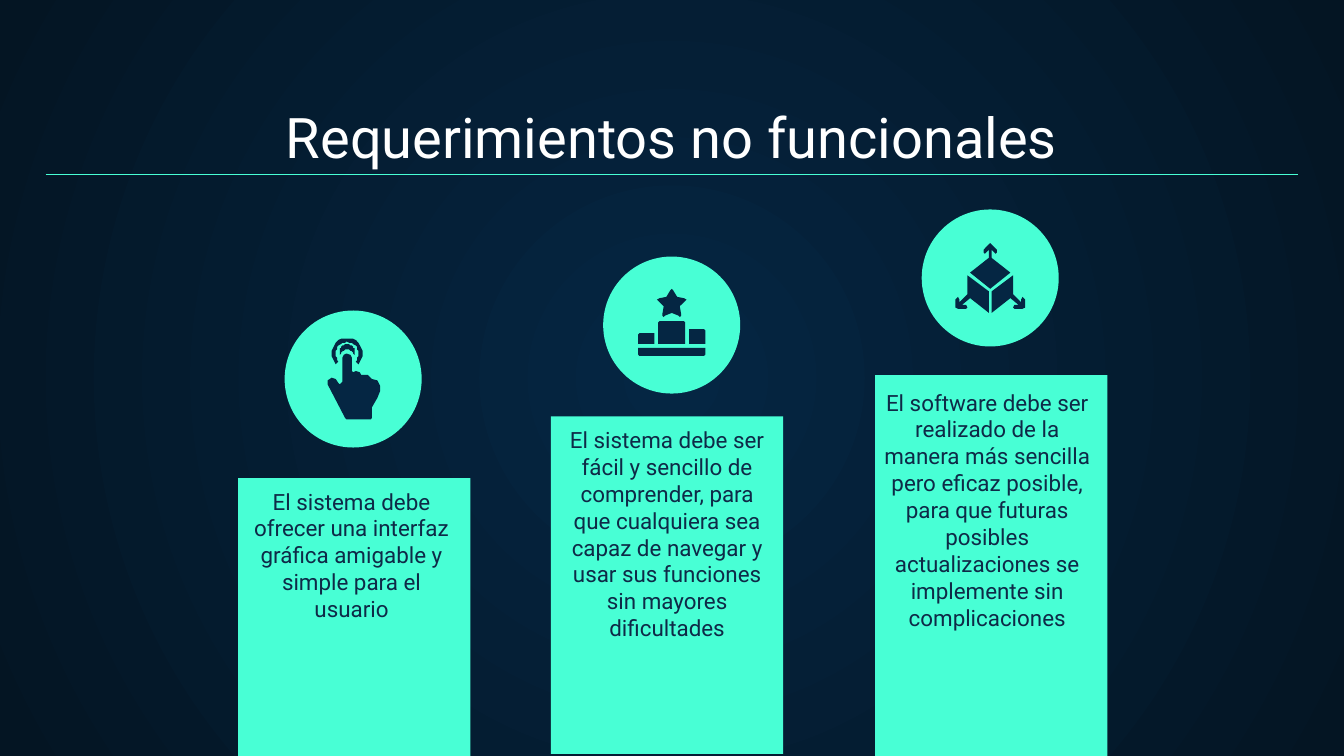
"""Build the slide of non-functional requirements."""
from math import cos, radians, sin

from lxml.etree import SubElement
from pptx import Presentation
from pptx.dml.color import RGBColor
from pptx.enum.shapes import MSO_CONNECTOR, MSO_SHAPE
from pptx.enum.text import MSO_ANCHOR, MSO_AUTO_SIZE, PP_ALIGN
from pptx.oxml.ns import qn
from pptx.util import Cm, Pt

COLORS = {"centre": "052643", "edge": "041523", "mint": "48FFD5",
          "white": "FFFFFF", "text": "0E2A47"}
FRAME = {"word_wrap": True, "auto_size": MSO_AUTO_SIZE.NONE,
         "vertical_anchor": MSO_ANCHOR.BOTTOM,
         "margin_left": Cm(0.25), "margin_right": Cm(0.25),
         "margin_top": Cm(0.25), "margin_bottom": Cm(0.25)}
CIRCLE = 2.59
UNIT = Cm(2.54) / 100

COLUMNS = [
    {"bar": (4.5, 9.04, 4.39, 5.33), "box": (4.45, 9.47, 4.39, 2.54), "circle_top": 5.87,
     "text": "El sistema debe ofrecer una interfaz gráfica amigable y simple para el usuario"},
    {"bar": (10.41, 7.87, 4.39, 6.38), "box": (10.36, 9.75, 4.5, 2.62), "circle_top": 4.85,
     "text": "El sistema debe ser fácil y sencillo de comprender, para que cualquiera sea "
             "capaz de navegar y usar sus funciones sin mayores dificultades"},
    {"bar": (16.54, 7.09, 4.39, 7.26), "box": (16.41, 8.18, 4.5, 3.99), "circle_top": 3.96,
     "text": "El software debe ser realizado de la manera más sencilla pero eficaz posible, "
             "para que futuras posibles actualizaciones se implemente sin complicaciones"},
]


def color(name):
    """Return a palette colour."""
    return RGBColor.from_string(COLORS[name])


def set_attrs(obj, values):
    """Set each attribute of the object from a dict."""
    for name, value in values.items():
        setattr(obj, name, value)


def mirror(points):
    """Return the points reflected about the vertical axis."""
    return [(-x, y) for x, y in points]


def symmetric(half):
    """Close a right-hand half outline with its mirror image."""
    return half + mirror(half)[::-1]


def arc(x, y, radius, start, end):
    """Return points along a circular arc given in degrees."""
    angles = [radians(start + (end - start) * i / 24) for i in range(25)]
    return [(x + radius * cos(a), y + radius * sin(a)) for a in angles]


def touch_icon():
    """Return the outlines of a hand pressing a button."""
    hand = [(-5, -19), (-7, -18), (-8, -16), (-8, 2), (-10, 4), (-11, 3), (-13, 0),
            (-16, -1), (-19, 1), (-19, 4), (-6, 29), (-5, 30), (13, 30), (14, 29),
            (14, 21), (18, 14), (20, 9), (20, 5), (18, 1), (14, 0), (13, -1),
            (11, -3), (9, -3), (6, -3), (5, -5), (2, -6), (0, -5), (-1, -6),
            (-1, -16), (-2, -18)]
    ring = arc(-4.5, -19, 11.5, 135, 405) + arc(-4.5, -19, 8.5, 405, 135)
    crescent = arc(-4.5, -20, 6, 160, 380) + arc(-4.5, -17, 5, 340, 200)
    return [ring, crescent, hand]


def podium_icon():
    """Return the outlines of a podium under a star."""
    star = symmetric([(0, -27), (1, -26), (4, -21), (9, -20), (11, -19), (10, -18),
                      (6, -14), (7, -8), (7, -7), (6, -6), (5, -7), (0, -9)])
    first = symmetric([(9, -3), (10, -2), (10, 14)])
    second = [(13, 14), (13, 3), (24, 3), (25, 4), (25, 14)]
    third = mirror([(13, 14), (13, 6), (24, 6), (25, 7), (25, 14)])
    base = symmetric([(25, 17), (25, 22), (24, 23)])
    return [star, first, second, third, base]


def cube_icon():
    """Return the outlines of a cube with three outward arrows."""
    side = [(17, -2), (1, 10), (1, 26), (15, 15), (21, 20), (18, 20), (17, 22),
            (18, 23), (24, 23), (26, 22), (26, 16), (24, 14), (23, 16), (23, 18),
            (17, 12)]
    top = symmetric([(0, -26), (1, -25), (5, -21), (5, -19), (4, -18), (3, -19),
                     (1, -21), (1, -15), (15, -4), (0, 8)])
    return [side, mirror(side), top]


def paint(sp, name):
    """Give a shape a flat fill without line or shadow."""
    sp.shadow.inherit = False
    sp.fill.solid()
    sp.fill.fore_color.rgb = color(name)
    sp.line.fill.background()


def add_background(s):
    """Fill the slide with a radial gradient."""
    fill = s.background.fill
    fill.gradient()
    for stop, name in zip(fill.gradient_stops, ("centre", "edge")):
        stop.color.rgb = color(name)
    grad = next(s._element.iter(qn("a:gradFill")))
    grad.remove(grad.find(qn("a:lin")))
    path = SubElement(grad, qn("a:path"), {"path": "circle"})
    SubElement(path, qn("a:fillToRect"), dict.fromkeys("ltrb", "50000"))


def add_shape(s, kind, box):
    """Add a mint preset shape."""
    paint(s.shapes.add_shape(kind, *map(Cm, box)), "mint")


def write(sp, text, size, name):
    """Write one centred paragraph at the bottom of a shape."""
    tf = sp.text_frame
    set_attrs(tf, FRAME)
    p = tf.paragraphs[0]
    p.alignment = PP_ALIGN.CENTER
    r = p.add_run()
    r.text = text
    set_attrs(r.font, {"name": "Roboto", "size": Pt(size)})
    r.font.color.rgb = color(name)


def add_title(s, text):
    """Place and fill the title with its rule."""
    sp = s.shapes.title
    set_attrs(sp, {"left": Cm(0.86), "top": Cm(1.78), "width": Cm(23.67), "height": Cm(1.68)})
    write(sp, text, 30, "white")
    line = s.shapes.add_connector(MSO_CONNECTOR.STRAIGHT, Cm(0.86), Cm(3.3), Cm(24.54), Cm(3.3))
    line.line.color.rgb = color("mint")
    line.line.width = Pt(0.75)
    SubElement(line._element.spPr, qn("a:effectLst"))


def add_icon(s, outlines, x, y):
    """Group an icon's outlines around a centre point."""
    group = s.shapes.add_group_shape()
    for points in outlines:
        builder = group.shapes.build_freeform(*points[0], scale=UNIT)
        builder.add_line_segments(points[1:], close=True)
        paint(builder.convert_to_shape(Cm(x), Cm(y)), "centre")


def add_column(s, column, left, outlines):
    """Add one bar with its text, circle and icon."""
    top = column["circle_top"]
    add_shape(s, MSO_SHAPE.RECTANGLE, column["bar"])
    write(s.shapes.add_textbox(*map(Cm, column["box"])), column["text"], 12, "text")
    add_shape(s, MSO_SHAPE.OVAL, (left, top, CIRCLE, CIRCLE))
    add_icon(s, outlines, left + CIRCLE / 2, top + CIRCLE / 2)


def main():
    """Build and save the presentation."""
    prs = Presentation()
    set_attrs(prs, {"slide_width": Cm(25.4), "slide_height": Cm(14.29)})
    s = prs.slides.add_slide(prs.slide_layouts[5])
    add_background(s)
    add_title(s, "Requerimientos no funcionales")
    icons = (touch_icon(), podium_icon(), cube_icon())
    for i, (column, outlines) in enumerate(zip(COLUMNS, icons)):
        add_column(s, column, 5.38 + 6.02 * i, outlines)
    prs.save("out.pptx")


if __name__ == "__main__":
    main()
